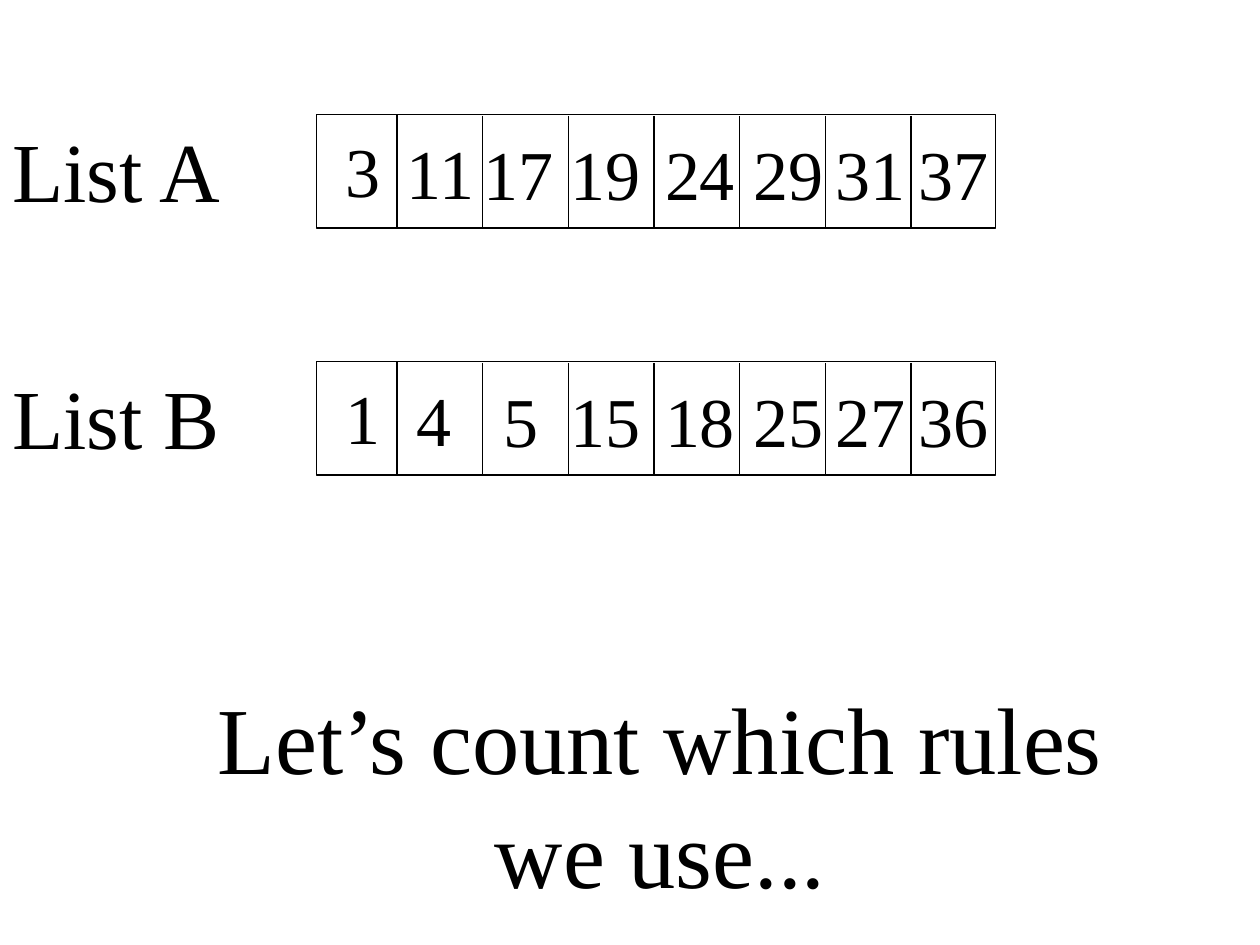
import pptx
import pptx.util
import pptx.dml.color
import pptx.enum.shapes
import pptx.enum.text
import lxml.etree

Inches, Pt = pptx.util.Inches, pptx.util.Pt
PP_ALIGN = pptx.enum.text.PP_ALIGN


def rgb(value):
    return pptx.dml.color.RGBColor.from_string(value)


def add_text(text, x, y, w, h, size=40, align=PP_ALIGN.LEFT, color="000000"):
    tf = s.shapes.add_textbox(Inches(x), Inches(y), Inches(w), Inches(h)).text_frame
    tf.word_wrap = False
    tf.auto_size = pptx.enum.text.MSO_AUTO_SIZE.SHAPE_TO_FIT_TEXT
    for i, line in enumerate(text.split("\n")):
        p = tf.paragraphs[0] if i == 0 else tf.add_paragraph()
        p.alignment = align
        p.line_spacing = Pt(1.2 * size)
        r = p.add_run()
        r.text = line
        r.font.name = "Times New Roman"
        r.font.size = Pt(size)
        r.font.color.rgb = rgb(color)


prs = pptx.Presentation()
prs.slide_width, prs.slide_height = Inches(10), Inches(7.5)
s = prs.slides.add_slide(prs.slide_layouts[6])

left, width, height = 2.51, 5.39, 0.9
first_divider, pitch = 3.15, 0.68
dividers = [first_divider + pitch * i for i in range(7)] + [left + width]
digit_w, pair_w, number_h = 0.48, 0.77, 0.77
number_drops = [0.05, 0.07] + [0.08] * 6

lists = [
    ("List A", 0.91, 1.88, [3, 11, 17, 19, 24, 29, 31, 37],
     [2.64, 3.13, 3.74, 4.43, 5.18, 5.88, 6.53, 7.19]),
    ("List B", 2.87, 1.85, [1, 4, 5, 15, 18, 25, 27, 36],
     [2.64, 3.21, 3.9, 4.43, 5.18, 5.88, 6.53, 7.19]),
]

for label, top, label_w, numbers, lefts in lists:
    sp = s.shapes.add_shape(pptx.enum.shapes.MSO_SHAPE.RECTANGLE,
                            Inches(left), Inches(top), Inches(width), Inches(height))
    sp.shadow.inherit = False
    sp.fill.background()
    sp.line.color.rgb = rgb("000000")
    sp.line.width = Pt(0.75)

    for i, x in enumerate(dividers):
        y = top + (0.01 if 0 < i < 7 else 0)
        line = s.shapes.add_connector(pptx.enum.shapes.MSO_CONNECTOR.STRAIGHT,
                                      Inches(x), Inches(y), Inches(x), Inches(y + height))
        line.line.color.rgb = rgb("000000")
        line.line.width = Pt(0.75)
        sp_pr = line._element.spPr
        lxml.etree.SubElement(sp_pr, pptx.oxml.ns.qn("a:effectLst"))

    for number, x, drop in zip(numbers, lefts, number_drops):
        add_text(str(number), x, top + drop, digit_w if number < 10 else pair_w, number_h)
    add_text(label, 0, top - 0.02, label_w, height, size=48)

add_text("Let’s count which rules\nwe use...", 1.61, 5.35, 7.26, 1.9,
         size=54, align=PP_ALIGN.CENTER)

prs.save("out.pptx")
